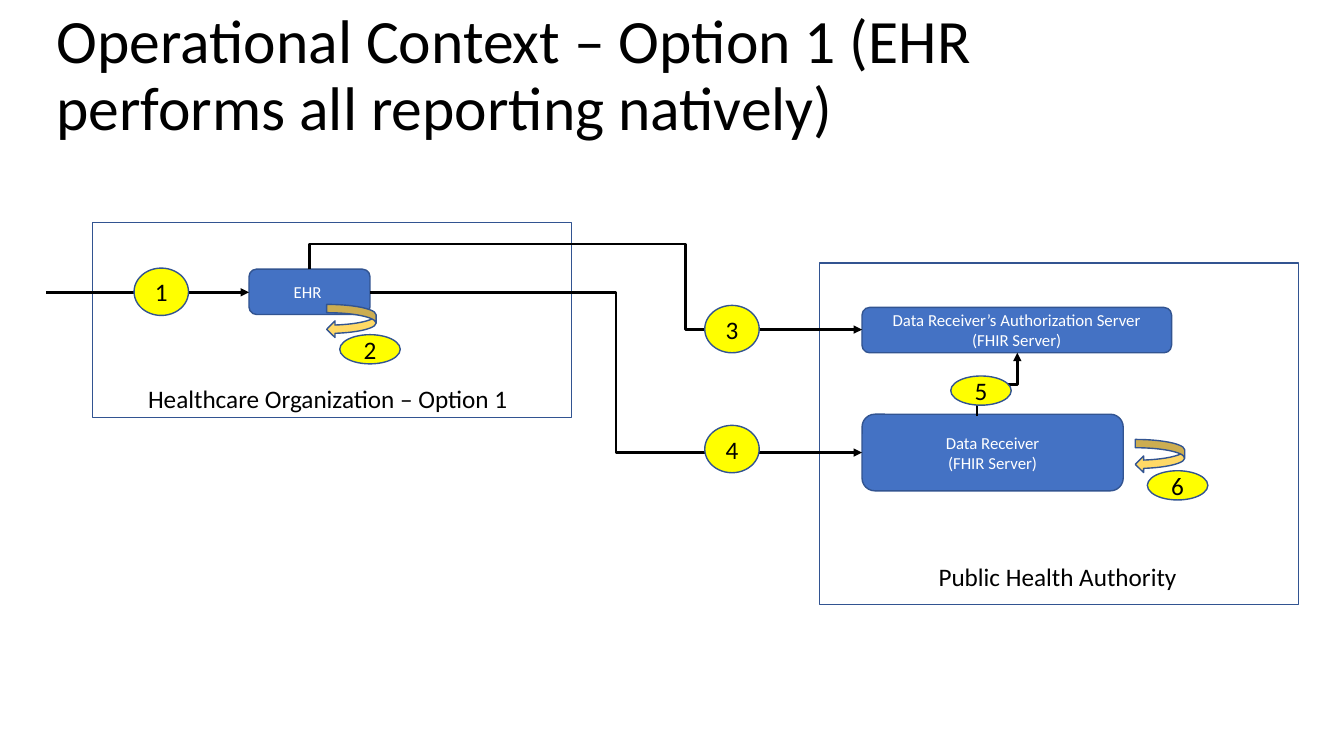
"""Build the operational context slide for reporting option 1."""
from lxml.etree import SubElement
from pptx import Presentation
from pptx.dml.color import RGBColor
from pptx.enum.shapes import MSO_CONNECTOR as Link, MSO_SHAPE as Shape
from pptx.enum.text import MSO_ANCHOR as Anchor, MSO_AUTO_SIZE as AutoSize, PP_ALIGN as Align
from pptx.oxml.ns import qn
from pptx.util import Inches, Pt

COLORS = {"text": "000000", "light": "FFFFFF", "outline": "325491",
          "system": "4472C4", "step": "FFFF00", "loop": "FFD966"}
FONT = "Calibri"
TITLE = "Operational Context – Option 1 (EHR performs all reporting natively)"
ORGANIZATIONS = [(8.13, 2.61, 4.75, 3.39), (0.92, 2.21, 4.75, 1.93)]
LABELS = [
    ("Healthcare Organization – Option 1", (1.37, 3.75, 3.81, 0.4)),
    ("Public Health Authority", (9.21, 5.52, 2.59, 0.4)),
]
SYSTEMS = [
    (["EHR "], (2.47, 2.67, 1.2, 0.45)),
    (["Data Receiver", "(FHIR Server)"], (8.55, 4.11, 2.59, 0.76)),
    (["Data Receiver’s Authorization Server", "(FHIR Server)"], (8.55, 3.05, 3.07, 0.45)),
]
STRAIGHT_FLOW = ((0.46, 2.9), (2.47, 2.9))
BENT_FLOWS = [
    ((3.07, 2.67), (8.55, 3.27), 270, ["flipH"], [-0.416, 0.68]),
    ((3.67, 2.9), (8.55, 4.49), 0, [], [0.5]),
    ((9.69, 4.13), (10.09, 3.5), 90, ["flipH", "flipV"], [0.5]),
]
ROUND_STEP, FLAT_STEP = (0.54, 0.47), (0.6, 0.29)
STEPS = [
    ("1", (1.33, 2.66), ROUND_STEP), ("3", (6.99, 3.03), ROUND_STEP),
    ("4", (6.99, 4.22), ROUND_STEP), ("5", (9.43, 3.73), FLAT_STEP),
    ("6", (11.38, 4.67), FLAT_STEP), ("2", (3.37, 3.32), FLAT_STEP),
]
LOOPS = [(11.26, 4.36, 0.49, 0.33), (3.24, 3.02, 0.49, 0.33)]


def color(name):
    return RGBColor.from_string(COLORS[name])


def write(frame, lines, size, ink="text", align=Align.LEFT):
    for index, line in enumerate(lines):
        para = frame.paragraphs[0] if index == 0 else frame.add_paragraph()
        para.alignment = align
        span = para.add_run()
        span.text = line
        span.font.name, span.font.size = FONT, Pt(size)
        span.font.color.rgb = color(ink)


def add_box(page, kind, place, fill=None):
    box = page.shapes.add_shape(kind, *map(Inches, place))
    box.shadow.inherit = False
    if fill:
        box.fill.solid()
        box.fill.fore_color.rgb = color(fill)
    else:
        box.fill.background()
    box.line.color.rgb = color("outline")
    box.line.width = Pt(1)
    box.text_frame.vertical_anchor = Anchor.MIDDLE
    return box


def add_flow(page, kind, start, end):
    flow = page.shapes.add_connector(kind, *map(Inches, start + end))
    flow.line.color.rgb = color("text")
    flow.line.width = Pt(2)
    SubElement(flow.line._get_or_add_ln(), qn("a:tailEnd"), type="triangle")
    SubElement(flow._element.spPr, qn("a:effectLst"))
    return flow


def add_bent_flow(page, start, end, turn, flips, bends):
    (x1, y1), (x2, y2) = start, end
    width, height = abs(x2 - x1), abs(y2 - y1)
    if turn:
        width, height = height, width
    left, top = (x1 + x2 - width) / 2, (y1 + y2 - height) / 2
    flow = add_flow(page, Link.ELBOW, (left, top), (left + width, top + height))
    frame = flow._element.spPr.find(qn("a:xfrm"))
    frame.set("rot", str(turn * 60000))
    for flip in flips:
        frame.set(flip, "1")
    geometry = flow._element.spPr.find(qn("a:prstGeom"))
    geometry.set("prst", f"bentConnector{len(bends) + 2}")
    guides = geometry.find(qn("a:avLst"))
    if guides is None:
        guides = SubElement(geometry, qn("a:avLst"))
    for number, bend in enumerate(bends, 1):
        SubElement(guides, qn("a:gd"), name=f"adj{number}", fmla=f"val {round(bend * 100000)}")


def main():
    deck = Presentation()
    deck.slide_width, deck.slide_height = Inches(13.33), Inches(7.5)
    page = deck.slides.add_slide(deck.slide_layouts[5])

    title = page.shapes.title
    title.left, title.top, title.width, title.height = map(Inches, (0.46, 0.04, 11.5, 1.45))
    title.text_frame.auto_size = AutoSize.NONE
    title.text_frame.word_wrap = True
    title.text_frame.vertical_anchor = Anchor.MIDDLE
    write(title.text_frame, [TITLE], 44)
    title.text_frame.paragraphs[0].line_spacing = 0.9

    for place in ORGANIZATIONS:
        add_box(page, Shape.RECTANGLE, place)
    for label, place in LABELS:
        frame = page.shapes.add_textbox(*map(Inches, place)).text_frame
        frame.word_wrap = False
        frame.auto_size = AutoSize.SHAPE_TO_FIT_TEXT
        write(frame, [label], 18)
    for lines, place in SYSTEMS:
        box = add_box(page, Shape.ROUNDED_RECTANGLE, place, "system")
        write(box.text_frame, lines, 12, "light", Align.CENTER)
    add_flow(page, Link.STRAIGHT, *STRAIGHT_FLOW)
    for flow in BENT_FLOWS:
        add_bent_flow(page, *flow)
    for number, corner, size in STEPS:
        box = add_box(page, Shape.OVAL, corner + size, "step")
        write(box.text_frame, [number], 18, align=Align.CENTER)
    for place in LOOPS:
        add_box(page, Shape.CURVED_LEFT_ARROW, place, "loop")

    deck.save("out.pptx")


if __name__ == "__main__":
    main()
